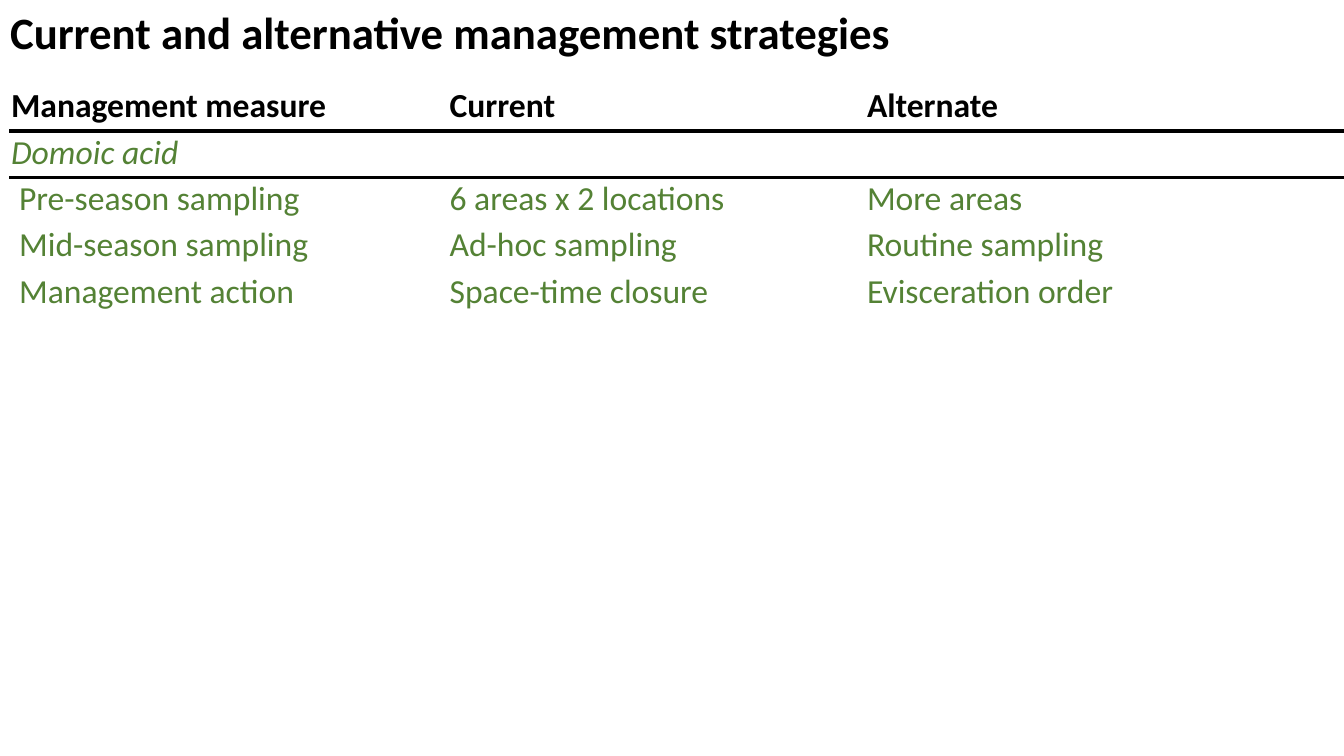
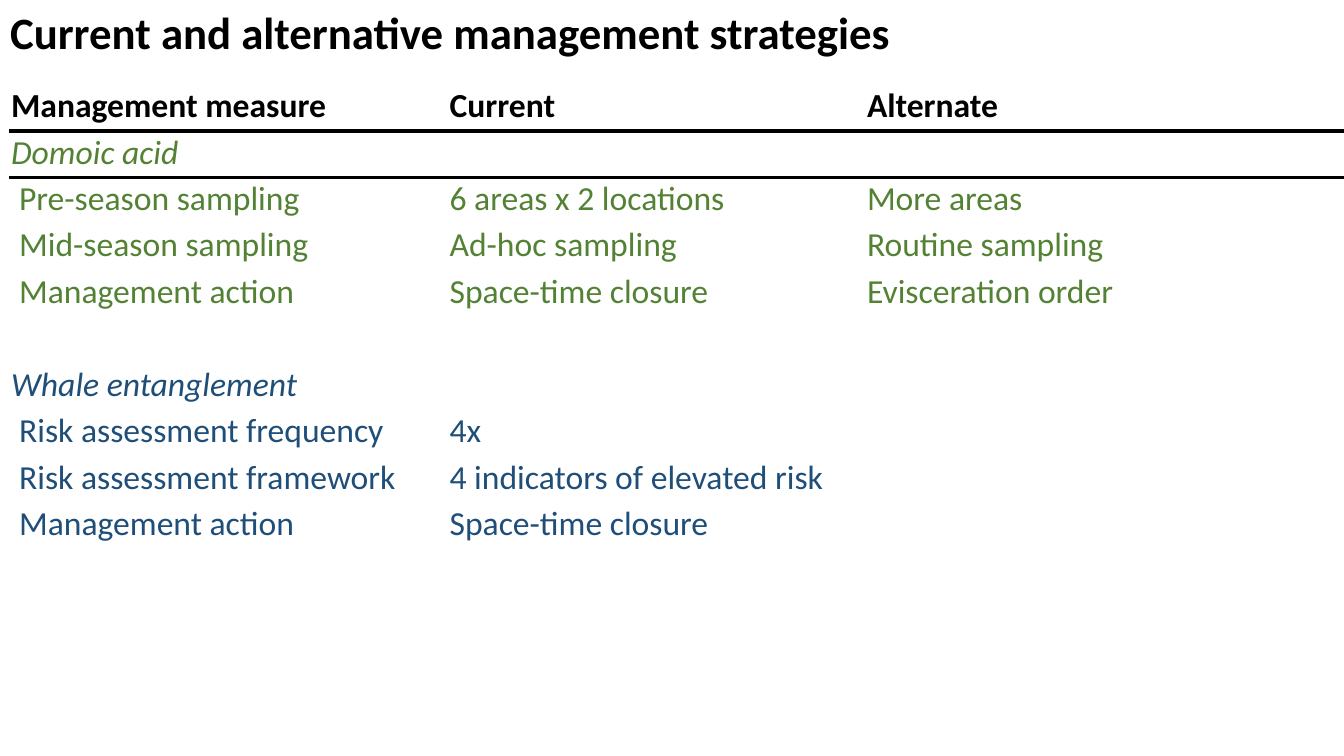
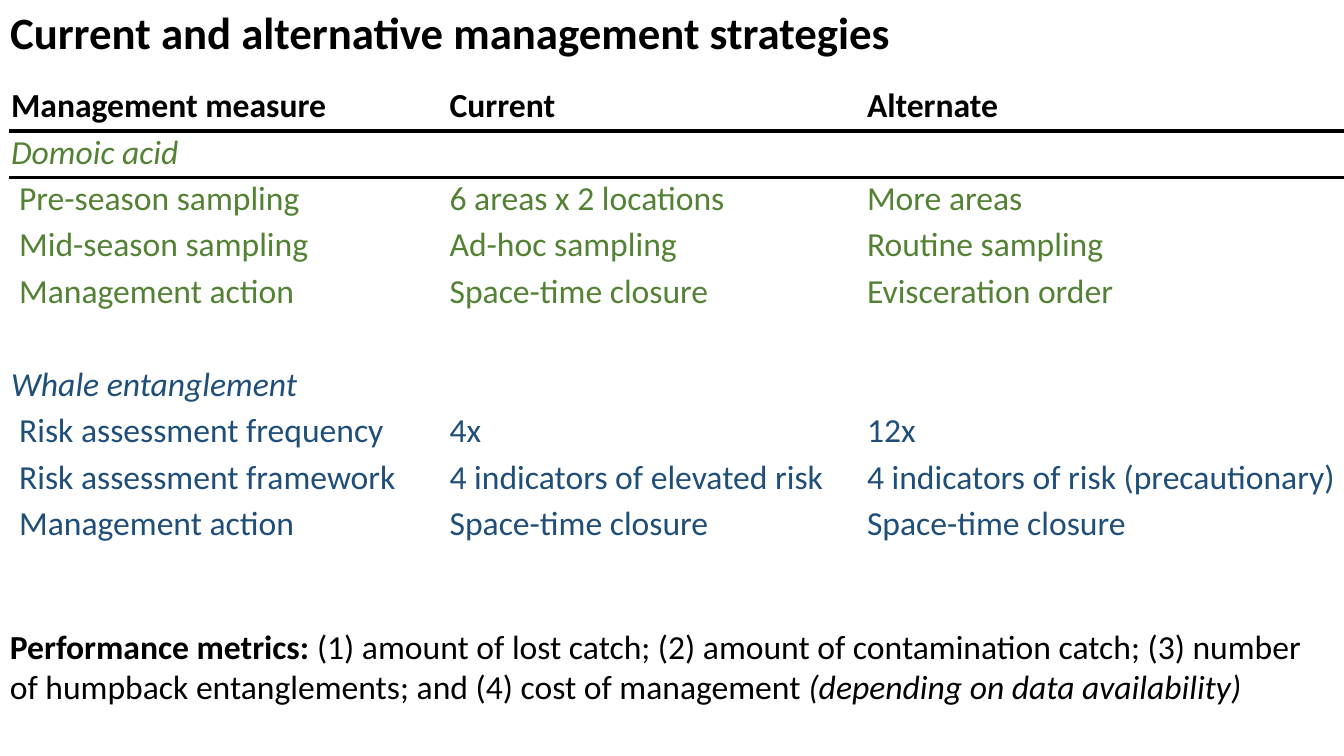
from pptx import Presentation
from pptx.dml.color import RGBColor
from pptx.enum.text import MSO_ANCHOR as Anchor, MSO_AUTO_SIZE as AutoSize, PP_ALIGN as Align
from pptx.oxml import parse_xml
from pptx.oxml.ns import nsdecls
from pptx.util import Inches, Pt

BLACK = RGBColor(0x00, 0x00, 0x00)
WHITE = RGBColor(0xFF, 0xFF, 0xFF)
GREEN = RGBColor(0x54, 0x82, 0x35)
NAVY = RGBColor(0x1F, 0x4E, 0x79)

TITLE = "Current and alternative management strategies"
HEADER = ("Management measure", "Current", "Alternate")
DOMOIC = [
    ("Domoic acid",),
    ("Pre-season sampling", "6 areas x 2 locations", "More areas"),
    ("Mid-season sampling", "Ad-hoc sampling", "Routine sampling"),
    ("Management action", "Space-time closure", "Evisceration order"),
]
WHALE = [
    ("Whale entanglement",),
    ("Risk assessment frequency", "4x", "12x"),
    ("Risk assessment framework", "4 indicators of elevated risk",
     "4 indicators of risk (precautionary)"),
    ("Management action", "Space-time closure", "Space-time closure"),
]
METRICS = [
    ("Performance metrics: ", {"bold": True}),
    ("(1) amount of lost catch; (2) amount of contamination catch; (3) number of "
     "humpback entanglements; and (4) cost of management ", {}),
    ("(depending on data availability)", {"italic": True}),
]
STEPS = [
    {"whale_cols": 0, "metrics": False},
    {"whale_cols": 2, "metrics": False},
    {"whale_cols": 3, "metrics": True},
]

COL_WIDTHS = (4.35, 4.14, 4.74)
ROW_COUNT = 10
ROW_HEIGHT = 0.461
RULED_EDGES = {(0, "B"), (1, "T"), (1, "B"), (2, "T")}
TEXT_FORMAT = {"name": "Calibri", "size": Pt(24), "bold": False, "italic": False}


def add_run(p, text, color=BLACK, **changes):
    r = p.add_run()
    r.text = text
    for name, value in {**TEXT_FORMAT, **changes}.items():
        setattr(r.font, name, value)
    r.font.color.rgb = color


def set_frame(tf, wrap):
    tf.word_wrap = wrap
    tf.auto_size = AutoSize.SHAPE_TO_FIT_TEXT
    tf.vertical_anchor = Anchor.TOP


def add_title(slide):
    tf = slide.shapes.title.text_frame
    set_frame(tf, False)
    tf.paragraphs[0].alignment = Align.LEFT
    add_run(tf.paragraphs[0], TITLE, size=Pt(32), bold=True)


def set_borders(cell, row):
    tc_pr = cell._tc.get_or_add_tcPr()
    for i, side in enumerate("LRTB"):
        color, width = (BLACK, 3) if (row, side) in RULED_EDGES else (WHITE, 1)
        tc_pr.insert(i, parse_xml(
            f'<a:ln{side} {nsdecls("a")} w="{Pt(width)}"><a:solidFill>'
            f'<a:srgbClr val="{color}"/></a:solidFill></a:ln{side}>'))


def table_rows(whale_cols):
    rows = [(HEADER, BLACK, {"bold": True})]
    for section, color in ((DOMOIC, GREEN), (WHALE, NAVY)):
        shown = whale_cols if section is WHALE else len(HEADER)
        for texts in section:
            rows.append((texts[:shown], color, {"italic": len(texts) == 1}))
    rows.insert(1 + len(DOMOIC), ((), BLACK, {}))
    return rows


def add_measures(slide, whale_cols):
    frame = slide.shapes.add_table(
        ROW_COUNT, len(HEADER), Inches(0.1), Inches(0.84),
        Inches(sum(COL_WIDTHS)), Inches(ROW_COUNT * ROW_HEIGHT))
    table = frame.table
    table.first_row = table.horz_banding = False
    for column, width in zip(table.columns, COL_WIDTHS):
        column.width = Inches(width)
    for i, (texts, color, style) in enumerate(table_rows(whale_cols)):
        for j, cell in enumerate(table.rows[i].cells):
            cell.fill.background()
            set_borders(cell, i)
            indented = j == 0 and not any(style.values())
            cell.margin_left = Inches(0.09 if indented else 0.01)
            cell.margin_top = cell.margin_right = Inches(0.01)
            cell.margin_bottom = 0
            if j < len(texts):
                add_run(cell.text_frame.paragraphs[0], texts[j], color, **style)


def add_metrics(slide):
    sp = slide.shapes.add_textbox(0, Inches(6.16), Inches(13.33), Inches(0.91))
    set_frame(sp.text_frame, True)
    for text, style in METRICS:
        add_run(sp.text_frame.paragraphs[0], text, **style)


def main():
    prs = Presentation()
    prs.slide_width, prs.slide_height = Inches(13.33), Inches(7.5)
    layout = prs.slide_layouts[5]
    title = layout.placeholders[0]
    title.left, title.top, title.width, title.height = 0, 0, Inches(9.01), Inches(0.64)
    for step in STEPS:
        slide = prs.slides.add_slide(layout)
        add_title(slide)
        add_measures(slide, step["whale_cols"])
        if step["metrics"]:
            add_metrics(slide)
    prs.save("out.pptx")


if __name__ == "__main__":
    main()
